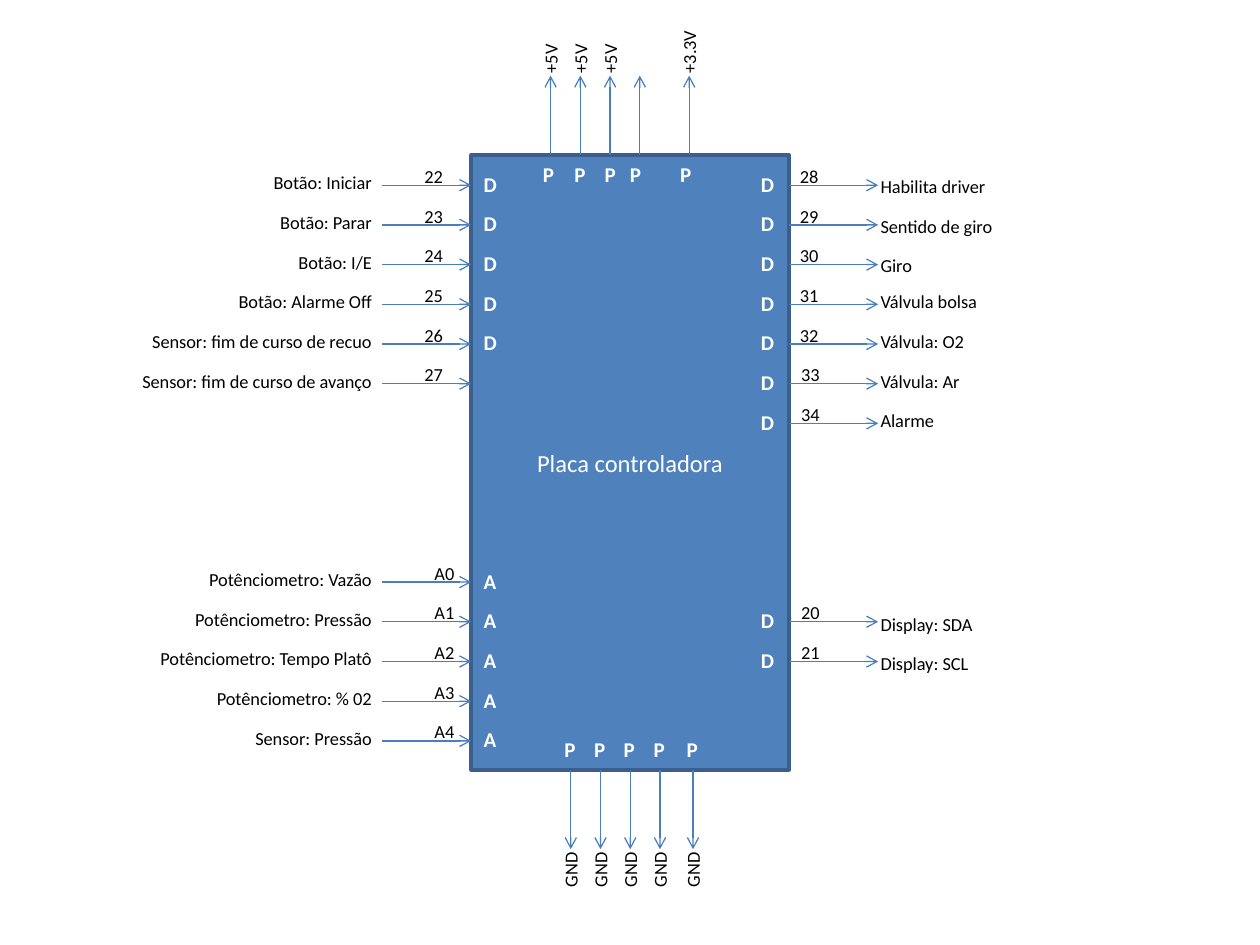
from lxml import etree
from pptx import Presentation
from pptx import util as u
from pptx.dml.color import RGBColor
from pptx.enum import shapes, text
from pptx.oxml.ns import qn

WHITE, BLACK, BLUE = "FFFFFF", "000000", "4B7EBC"
LEFT, RIGHT, TOP, BOTTOM = 3.74, 6.26, 1.23, 6.11
ROW0, ROW = 1.47, 0.315
COL = 0.236
REACH, RISE = 0.71, 0.63

prs = Presentation()
prs.slide_width, prs.slide_height = u.Inches(10), u.Inches(7.5)
s = prs.slides.add_slide(prs.slide_layouts[6])


def arrow(x1, y1, x2, y2):
    """Draw a thin blue arrow that points at its second end."""
    c = s.shapes.add_connector(shapes.MSO_CONNECTOR.STRAIGHT,
                               *map(u.Inches, (x1, y1, x2, y2)))
    c.line.color.rgb = RGBColor.from_string(BLUE)
    c.line.width = u.Pt(0.75)
    ln = c.line._get_or_add_ln()
    etree.SubElement(ln, qn("a:tailEnd"), type="arrow")
    etree.SubElement(ln.getparent(), qn("a:effectLst"))


def label(words, x, y, w, pin=False, align=text.PP_ALIGN.LEFT, turn=0):
    """Add one line of text: a bold white pin letter or a small black label."""
    sp = s.shapes.add_textbox(*map(u.Inches, (x, y, w, 0.3 if pin else 0.28)))
    sp.rotation = turn
    tf = sp.text_frame
    tf.word_wrap = False
    tf.auto_size = text.MSO_AUTO_SIZE.SHAPE_TO_FIT_TEXT
    p = tf.paragraphs[0]
    p.alignment = align
    r = p.add_run()
    r.text = words
    r.font.name, r.font.bold = "Calibri", pin
    r.font.size = u.Pt(12 if pin else 10.5)
    r.font.color.rgb = RGBColor.from_string(WHITE if pin else BLACK)


# Board
board = s.shapes.add_shape(shapes.MSO_SHAPE.RECTANGLE,
                           *map(u.Inches, (LEFT, TOP, RIGHT - LEFT, BOTTOM - TOP)))
board.shadow.inherit = False
board.fill.solid()
board.fill.fore_color.rgb = RGBColor.from_string("4F81BD")
board.line.color.rgb = RGBColor.from_string("3A5F8C")
board.line.width = u.Pt(2)
tf = board.text_frame
tf.vertical_anchor = text.MSO_ANCHOR.MIDDLE
p = tf.paragraphs[0]
p.alignment = text.PP_ALIGN.CENTER
r = p.add_run()
r.text = "Placa controladora"
r.font.name, r.font.size = "Calibri", u.Pt(14)
r.font.color.rgb = RGBColor.from_string(WHITE)

# Inputs: row, pin letter, pin number, label, label width
inputs = [
    (0, "D", "22", "Botão: Iniciar", 0.99),
    (1, "D", "23", "Botão: Parar", 0.95),
    (2, "D", "24", "Botão: I/E", 0.79),
    (3, "D", "25", "Botão: Alarme Off", 1.32),
    (4, "D", "26", "Sensor: fim de curso de recuo", 1.98),
    (5, "", "27", "Sensor: fim de curso de avanço", 2.06),
    (10, "A", "A0", "Potênciometro: Vazão", 1.53),
    (11, "A", "A1", "Potênciometro: Pressão", 1.63),
    (12, "A", "A2", "Potênciometro: Tempo Platô", 1.92),
    (13, "A", "A3", "Potênciometro: % 02", 1.46),
    (14, "A", "A4", "Sensor: Pressão", 1.14),
]
for row, letter, number, name, w in inputs:
    y = ROW0 + row * ROW
    arrow(LEFT - REACH, y, LEFT, y)
    if letter:
        label(letter, LEFT, y - 0.16, 0.31, pin=True)
    if letter == "A":
        label(number, 3.35, y - 0.21, 0.37)
    else:
        label(number, 3.27, y - 0.21, 0.35)
    label(name, 3.05 - w, y - 0.16, w, align=text.PP_ALIGN.RIGHT)

# Outputs: row, pin number, label, label width, rise of the label
outputs = [
    (0, "28", "Habilita driver", 1.05, 0.13),
    (1, "29", "Sentido de giro", 1.11, 0.13),
    (2, "30", "Giro", 0.46, 0.13),
    (3, "31", "Válvula bolsa", 1.01, 0.16),
    (4, "32", "Válvula: O2", 0.88, 0.16),
    (5, "33", "Válvula: Ar", 0.85, 0.16),
    (6, "34", "Alarme", 0.63, 0.16),
    (11, "20", "Display: SDA", 0.95, 0.12),
    (12, "21", "Display: SCL", 0.91, 0.12),
]
for row, number, name, w, up in outputs:
    y = ROW0 + row * ROW
    arrow(RIGHT, y, RIGHT + REACH, y)
    label("D", 5.94, y - 0.16, 0.31, pin=True)
    label(number, 6.25 if row < 5 else 6.26, y - 0.21, 0.35)
    label(name, 6.89, y - up, w)

# Supply pins: arrow position, letter position, voltage, voltage width
supplies = [
    (4.37, 4.21, "+5V", 0.44),
    (4.37 + COL, 4.46, "+5V", 0.44),
    (4.37 + 2 * COL, 4.7, "+5V", 0.44),
    (4.37 + 3 * COL, 4.9, "", 0),
    (5.47, 5.3, "+3.3V", 0.55),
]
for x, letter_x, volts, w in supplies:
    arrow(x, TOP, x, TOP - RISE)
    label("P", letter_x, TOP, 0.29, pin=True)
    if volts:
        label(volts, x - w / 2, 0.54 - w / 2, w, turn=270)

# Ground pins
for x in [4.53 + i * COL for i in range(4)] + [5.5]:
    arrow(x, BOTTOM, x, BOTTOM + RISE)
    label("P", x - 0.15, 5.8, 0.29, pin=True)
    label("GND", x - 0.24, 6.76, 0.48, turn=270)

prs.save("out.pptx")
